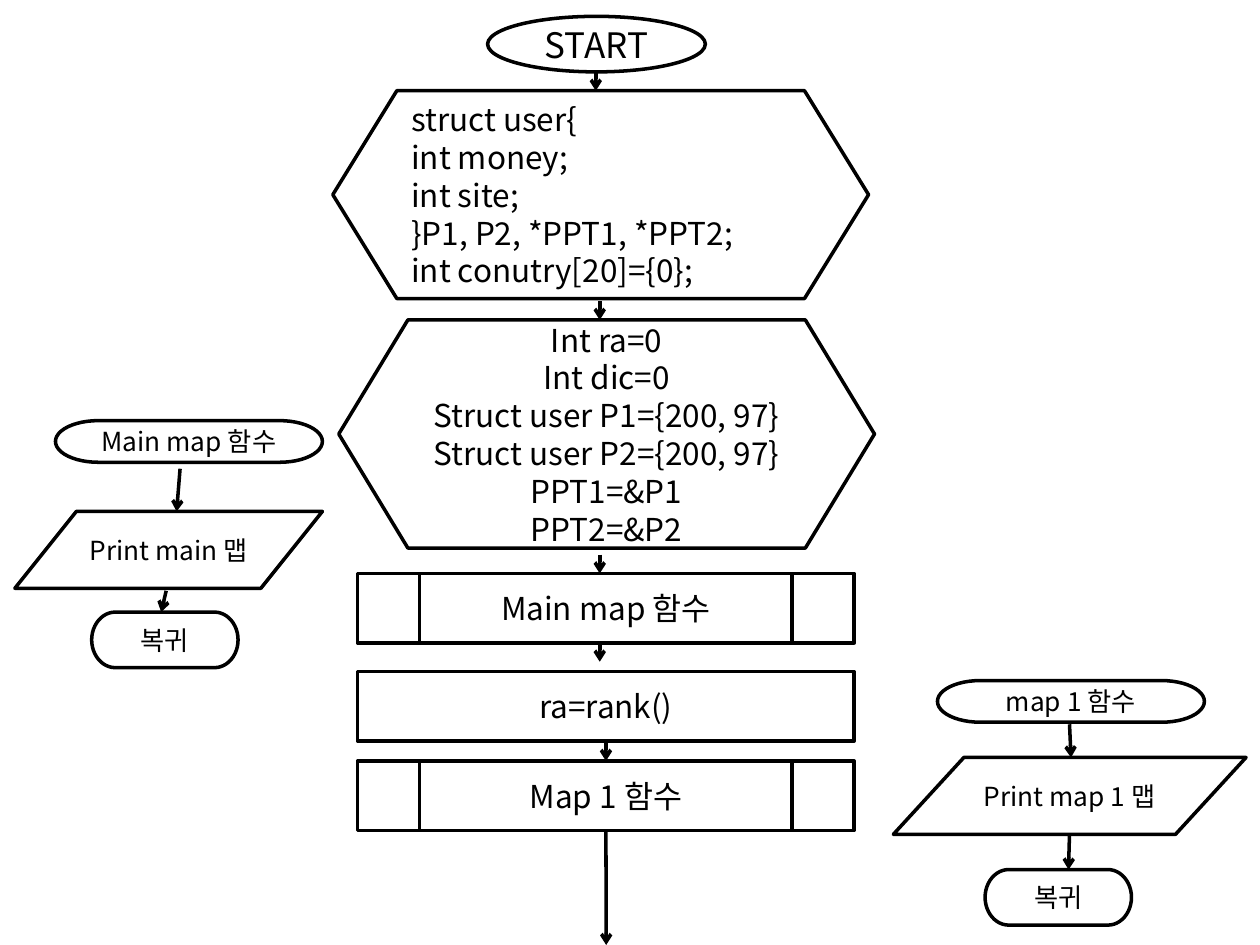
from lxml import etree
from pptx import Presentation, util as u
from pptx.dml.color import RGBColor
from pptx.enum import shapes, text
from pptx.oxml import ns

COLORS = {"ink": "000000", "paper": "FFFFFF"}
FONT = "Noto Sans CJK KR"
LINE_WIDTH = 2
KIND = shapes.MSO_SHAPE
ALIGN = text.PP_ALIGN


def rgb(name):
    return RGBColor.from_string(COLORS[name])


def add_node(s, kind, box, lines, size=18, align=ALIGN.CENTER, adj=None):
    """Outlined flowchart symbol with one paragraph per line."""
    sp = s.shapes.add_shape(kind, *(u.Cm(v) for v in box))
    sp.shadow.inherit = False
    if adj is not None:
        sp.adjustments[0] = adj
    sp.fill.solid()
    sp.fill.fore_color.rgb = rgb("paper")
    sp.line.color.rgb = rgb("ink")
    sp.line.width = u.Pt(LINE_WIDTH)
    tf = sp.text_frame
    tf.word_wrap = True
    tf.vertical_anchor = text.MSO_ANCHOR.MIDDLE
    for i, line in enumerate(lines):
        p = tf.paragraphs[0] if i == 0 else tf.add_paragraph()
        p.alignment = align
        r = p.add_run()
        r.text = line
        r.font.size = u.Pt(size)
        r.font.name = FONT
        r.font.color.rgb = rgb("ink")
        # Korean letters take the East Asian typeface
        etree.SubElement(r.font._element, ns.qn("a:ea"), typeface=FONT)
    return sp


def add_arrow(s, x1, y1, x2, y2, begin=None, end=None):
    """Arrow between two points, joined to rectangles where given."""
    c = s.shapes.add_connector(shapes.MSO_CONNECTOR.STRAIGHT,
                               u.Cm(x1), u.Cm(y1), u.Cm(x2), u.Cm(y2))
    if begin is not None:
        c.begin_connect(begin, 2)
    if end is not None:
        c.end_connect(end, 0)
    c.line.color.rgb = rgb("ink")
    c.line.width = u.Pt(LINE_WIDTH)
    etree.SubElement(c.line._get_or_add_ln(), ns.qn("a:tailEnd"), type="arrow")
    etree.SubElement(c._element.spPr, ns.qn("a:effectLst"))


def add_function(s, name, output, start, body, back, arrows):
    """Side flow of a function: entry, printed output, return."""
    add_node(s, KIND.FLOWCHART_TERMINATOR, (*start, 5.38, 0.84), [name], 15)
    add_node(s, KIND.FLOWCHART_DATA, body, [output], 15)
    add_node(s, KIND.FLOWCHART_TERMINATOR, (*back, 2.95, 1.12), ["복귀"], 15)
    for points in arrows:
        add_arrow(s, *points)


def add_main_flow(s):
    # Start and declarations
    add_node(s, KIND.OVAL, (9.83, 0.33, 4.39, 1.12), ["START"], 20)
    add_node(s, KIND.HEXAGON, (6.71, 1.83, 10.8, 4.19),
             ["struct user{", "int money;", "int site;",
              "}P1, P2, *PPT1, *PPT2;", "int conutry[20]={0};"],
             align=ALIGN.LEFT, adj=0.308)
    add_node(s, KIND.HEXAGON, (6.83, 6.45, 10.8, 4.6),
             ["Int ra=0", "Int dic=0", "Struct user P1={200, 97}",
              "Struct user P2={200, 97}", "PPT1=&P1", "PPT2=&P2"], adj=0.303)

    # Calls
    call = KIND.FLOWCHART_PREDEFINED_PROCESS
    steps = [(call, 11.56, "Main map 함수"),
             (KIND.RECTANGLE, 13.54, "ra=rank()"),
             (call, 15.34, "Map 1 함수")]
    _, rank, map_one = [add_node(s, kind, (7.21, y, 10.01, 1.4), [label])
                        for kind, y, label in steps]

    # Arrows down the column
    add_arrow(s, 12.01, 1.45, 12.01, 1.83)
    for y in (6.07, 11.18, 12.96):
        add_arrow(s, 12.09, y, 12.09, y + 0.38)
    add_arrow(s, 12.22, 14.94, 12.22, 15.34, rank, map_one)
    add_arrow(s, 12.22, 16.74, 12.22, 19.05, map_one)


def main():
    prs = Presentation()
    prs.slide_width, prs.slide_height = u.Cm(25.4), u.Cm(19.05)
    s = prs.slides.add_slide(prs.slide_layouts[6])
    add_main_flow(s)
    # Side functions, left and right
    add_function(s, "Main map 함수", "Print main 맵",
                 (1.12, 8.48), (0.3, 10.31, 6.2, 1.55), (1.85, 12.34),
                 [(3.63, 9.45, 3.56, 10.31), (3.35, 11.91, 3.25, 12.34)])
    add_function(s, "map 1 함수", "Print map 1 맵",
                 (18.9, 13.72), (18.01, 15.27, 7.11, 1.55), (19.86, 17.53),
                 [(21.56, 14.6, 21.59, 15.27), (21.56, 16.81, 21.54, 17.53)])
    prs.save("out.pptx")


if __name__ == "__main__":
    main()
